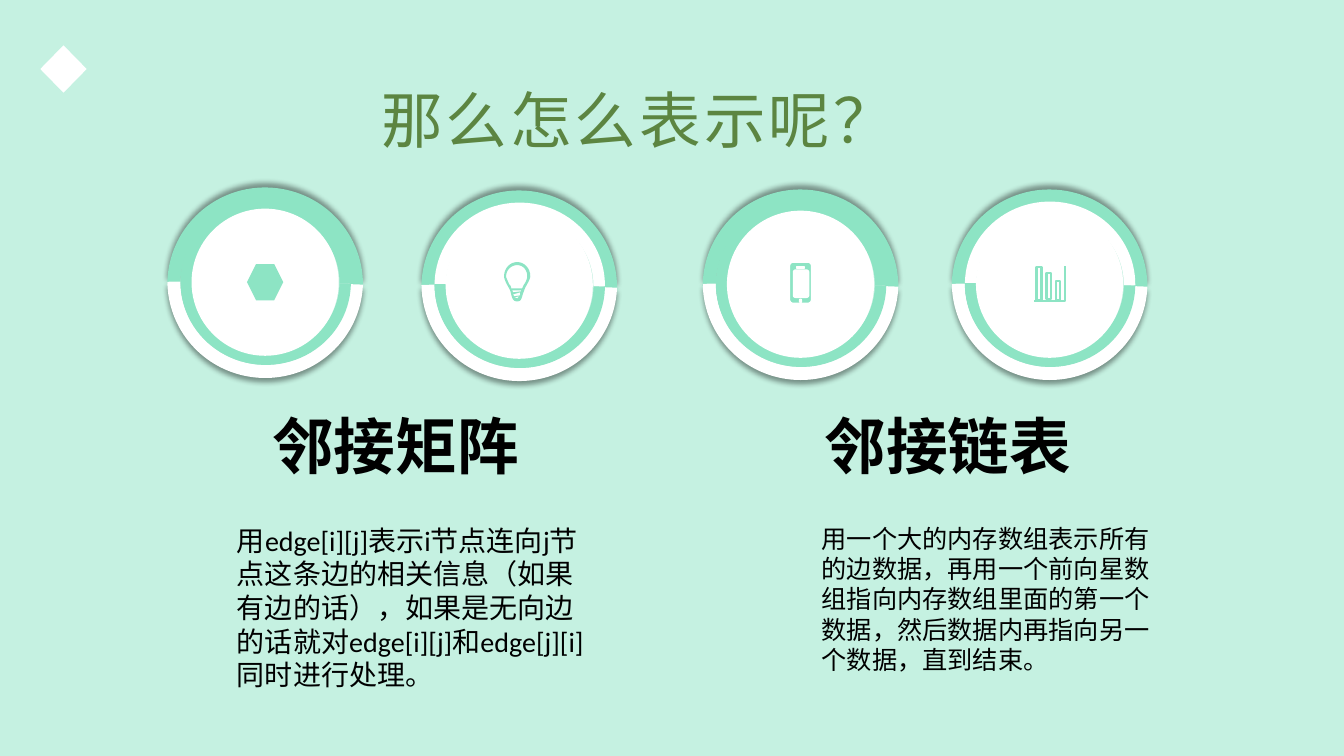
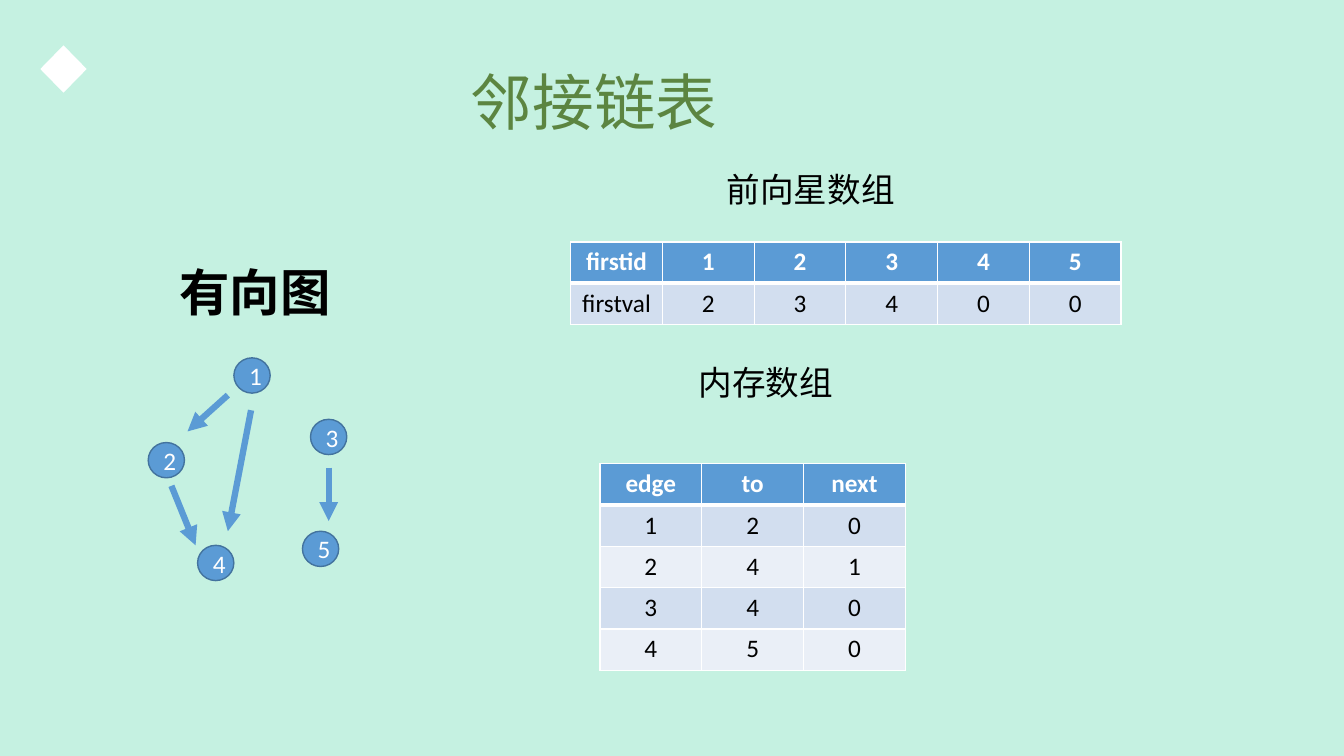
import dataclasses
import math

import lxml.etree
import pptx
import pptx.dml.color
import pptx.enum.shapes
import pptx.enum.text
import pptx.oxml.ns
import pptx.util

Inches = pptx.util.Inches
Pt = pptx.util.Pt
Shape = pptx.enum.shapes.MSO_SHAPE
Align = pptx.enum.text.PP_ALIGN
Anchor = pptx.enum.text.MSO_ANCHOR
qn = pptx.oxml.ns.qn


def rgb(value):
    return pptx.dml.color.RGBColor.from_string(value)


@dataclasses.dataclass(frozen=True)
class Theme:
    background: str = "C5F1E1"
    mint: str = "8DE4C4"
    white: str = "FFFFFF"
    title: str = "5C8541"
    text: str = "000000"
    blue: str = "5B9BD5"
    blue_edge: str = "43739E"
    bands: tuple = ("D2DEEF", "EAEFF7")
    latin: str = "Calibri"
    chinese: str = "Noto Sans CJK SC"
    title_size: int = 44
    graph_size: int = 36
    caption_size: int = 24
    lead_size: int = 20
    small_size: int = 18


def add_child(parent, tag, **attributes):
    return lxml.etree.SubElement(parent, qn(tag), attributes)


def bezier(start, first, second, end, steps=8):
    """Points on a cubic curve, without its start."""
    points = []
    for step in range(1, steps + 1):
        t = step / steps
        weights = ((1 - t) ** 3, 3 * t * (1 - t) ** 2, 3 * t * t * (1 - t), t ** 3)
        points.append(tuple(
            sum(w * p[axis] for w, p in zip(weights, (start, first, second, end)))
            for axis in (0, 1)))
    return points


def curved(start, *curves):
    """Flatten a chain of cubic curves into one outline."""
    points = [start]
    for curve in curves:
        points += bezier(points[-1], *curve)
    return points


def rounded(left, top, width, height, radius):
    """Outline of a rectangle with round corners."""
    right, bottom = left + width - radius, top + height - radius
    centres = ((right, bottom), (left + radius, bottom),
               (left + radius, top + radius), (right, top + radius))
    return [(x + radius * math.cos(math.radians(quarter * 90 + angle)),
             y + radius * math.sin(math.radians(quarter * 90 + angle)))
            for quarter, (x, y) in enumerate(centres)
            for angle in range(0, 91, 15)]


class Deck:
    """Holds the theme, the presentation and the slide being built."""

    def __init__(self, theme):
        self.theme = theme
        self.prs = pptx.Presentation()
        self.prs.slide_width, self.prs.slide_height = Inches(13.33), Inches(7.5)
        fill = self.prs.slide_master.background.fill
        fill.solid()
        fill.fore_color.rgb = rgb(theme.background)
        self.slide = None

    def new_slide(self, layout, title, left, top):
        self.slide = self.prs.slides.add_slide(self.prs.slide_layouts[layout])
        self.shape(Shape.DIAMOND, (0.4, 0.45, 0.46, 0.47), self.theme.white)
        self.placeholder(0, (left, top, 4.69, 0.84), title, self.theme.title_size,
                         color=self.theme.title, font=self.theme.chinese,
                         align=Align.JUSTIFY)

    def set_text(self, frame, text, size, color=None, font=None, bold=False,
                 align=Align.LEFT, before=0):
        frame.text = text
        paragraph = frame.paragraphs[0]
        paragraph.alignment = align
        paragraph.space_before = Pt(before)
        paragraph.font.size = Pt(size)
        paragraph.font.bold = bold
        paragraph.font.color.rgb = rgb(color or self.theme.text)
        paragraph.font.name = font or self.theme.latin
        properties = paragraph._p.pPr
        add_child(properties.find(qn("a:defRPr")), "a:ea", typeface=self.theme.chinese)
        return properties

    def placeholder(self, index, box, text, size, inset=True, **style):
        """Move a template placeholder and set its text without a bullet."""
        holder = next(p for p in self.slide.placeholders
                      if p.placeholder_format.idx == index)
        holder.left, holder.top, holder.width, holder.height = map(Inches, box)
        frame = holder.text_frame
        frame.word_wrap = True
        frame.auto_size = pptx.enum.text.MSO_AUTO_SIZE.NONE
        frame.vertical_anchor = Anchor.TOP
        if not inset:
            frame.margin_left = frame.margin_right = 0
            frame.margin_top = frame.margin_bottom = 0
        properties = self.set_text(frame, text, size, **style)
        properties.set("marL", "0")
        properties.set("indent", "0")
        properties.find(qn("a:defRPr")).addprevious(
            lxml.etree.Element(qn("a:buNone")))

    def label(self, box, text, size, **style):
        frame = self.slide.shapes.add_textbox(*map(Inches, box)).text_frame
        frame.word_wrap = True
        self.set_text(frame, text, size, **style)

    def paint(self, shape, fill=None, line=None, width=1):
        if fill:
            shape.fill.solid()
            shape.fill.fore_color.rgb = rgb(fill)
        else:
            shape.fill.background()
        if line:
            shape.line.color.rgb = rgb(line)
            shape.line.width = Pt(width)
        else:
            shape.line.fill.background()
        shape.shadow.inherit = False
        return shape

    def shape(self, kind, box, fill=None, line=None, width=1):
        shape = self.slide.shapes.add_shape(kind, *map(Inches, box))
        return self.paint(shape, fill, line, width)

    def outline(self, contours, fill=None, line=None, width=1, close=True):
        first, *others = [[(Inches(x), Inches(y)) for x, y in contour]
                          for contour in contours]
        builder = self.slide.shapes.build_freeform(*first[0])
        builder.add_line_segments(first[1:], close=close)
        for contour in others:
            builder.move_to(*contour[0])
            builder.add_line_segments(contour[1:], close=close)
        return self.paint(builder.convert_to_shape(), fill, line, width)

    def arc(self, box, fill, rotation, adjustments, shadow_angle=None):
        arc = self.shape(Shape.BLOCK_ARC, box, fill)
        arc.rotation = rotation
        for index, value in enumerate(adjustments):
            arc.adjustments[index] = value
        if shadow_angle:
            effects = arc._element.spPr.find(qn("a:effectLst"))
            shadow = add_child(effects, "a:outerShdw", blurRad=str(Pt(4)),
                               dist=str(Pt(3)), dir=str(shadow_angle * 60000),
                               algn="ctr", rotWithShape="0")
            black = add_child(shadow, "a:srgbClr", val="000000")
            add_child(black, "a:alpha", val="40000")

    def badge(self, left, top, upper_inner):
        """Two-tone ring around a white disc."""
        mint, white = self.theme.mint, self.theme.white
        inner = (left + 0.13, top + 0.15, 1.69, 1.64)
        inner_span = (107.319, 215.283, 0.069)
        self.arc((left, top + 0.03, 1.94, 1.92), mint, 2,
                 (106.906, 215.515, 0.067), 270)
        self.arc(inner, upper_inner, 2, inner_span)
        self.arc((left, top, 1.94, 1.92), white, 182, (108, 214.61, 0.067), 90)
        self.arc(inner, mint, 182, inner_span)
        self.shape(Shape.OVAL, (left + 0.24, top + 0.24, 1.46, 1.46), white)

    def node(self, left, top, text):
        node = self.shape(Shape.OVAL, (left, top, 0.36, 0.35),
                          self.theme.blue, self.theme.blue_edge)
        node.text_frame.vertical_anchor = Anchor.MIDDLE
        self.set_text(node.text_frame, text, self.theme.small_size,
                      color=self.theme.white, align=Align.CENTER)

    def arrow(self, start, end):
        arrow = self.slide.shapes.add_connector(
            pptx.enum.shapes.MSO_CONNECTOR.STRAIGHT, *map(Inches, start + end))
        arrow.line.color.rgb = rgb(self.theme.blue)
        arrow.line.width = Pt(4.5)
        add_child(arrow.line._get_or_add_ln(), "a:tailEnd", type="triangle")
        add_child(arrow._element.spPr, "a:effectLst")

    def borders(self, cell, top, bottom):
        properties = cell._tc.get_or_add_tcPr()
        sides = (("L", 1), ("R", 1), ("T", top), ("B", bottom))
        for position, (side, width) in enumerate(sides):
            line = lxml.etree.Element(qn("a:ln" + side), w=str(Pt(width)))
            add_child(add_child(line, "a:solidFill"), "a:srgbClr",
                      val=self.theme.white)
            properties.insert(position, line)

    def table(self, left, top, column_width, rows, row_height=0.41):
        count = len(rows[0])
        table = self.slide.shapes.add_table(
            len(rows), count, Inches(left), Inches(top),
            Inches(column_width * count), Inches(row_height * len(rows))).table
        for column in table.columns:
            column.width = Inches(column_width)
        for r, values in enumerate(rows):
            header = r == 0
            table.rows[r].height = Inches(row_height)
            for c, value in enumerate(values):
                cell = table.cell(r, c)
                cell.fill.solid()
                cell.fill.fore_color.rgb = rgb(
                    self.theme.blue if header else self.theme.bands[(r - 1) % 2])
                self.borders(cell, 3 if r == 1 else 1, 3 if header else 1)
                self.set_text(cell.text_frame, value, self.theme.small_size,
                              color=self.theme.white if header else self.theme.text,
                              bold=header, align=Align.CENTER)


def add_icons(deck):
    mint, white = deck.theme.mint, deck.theme.white
    deck.shape(Shape.HEXAGON, (2.45, 2.62, 0.36, 0.36), mint)

    bulb = curved((5.13, 2.6),
                  ((5.06, 2.6), (5, 2.66), (5, 2.74)),
                  ((5, 2.78), (5.04, 2.84), (5.06, 2.88)),
                  ((5.08, 2.95), (5.08, 2.99), (5.13, 2.99)),
                  ((5.18, 2.99), (5.17, 2.95), (5.2, 2.88)),
                  ((5.21, 2.84), (5.26, 2.78), (5.26, 2.74)),
                  ((5.26, 2.66), (5.2, 2.6), (5.13, 2.6)))
    glass = curved((5.07, 2.86),
                   ((5.07, 2.84), (5.06, 2.83), (5.05, 2.82)),
                   ((5.04, 2.79), (5.02, 2.76), (5.02, 2.74)),
                   ((5.02, 2.68), (5.07, 2.63), (5.13, 2.63)),
                   ((5.19, 2.63), (5.23, 2.68), (5.23, 2.74)),
                   ((5.23, 2.76), (5.22, 2.79), (5.2, 2.82)),
                   ((5.19, 2.83), (5.19, 2.84), (5.18, 2.86)))
    socket_gaps = [[(5.08, 2.88), (5.17, 2.88), (5.17, 2.89), (5.09, 2.9)],
                   [(5.09, 2.92), (5.16, 2.9), (5.16, 2.93), (5.1, 2.94)],
                   [(5.1, 2.95), (5.15, 2.94), (5.13, 2.96)]]
    deck.outline([bulb, glass, *socket_gaps], mint)

    case = rounded(7.83, 2.6, 0.22, 0.41, 0.04)
    screen = rounded(7.87, 2.68, 0.15, 0.27, 0.02)
    button = rounded(7.93, 2.97, 0.02, 0.03, 0.01)
    speaker = [(7.9, 2.65), (7.9, 2.66), (7.98, 2.66), (7.98, 2.65)]
    deck.outline([case, screen, button, speaker], mint, white)

    deck.outline([[(10.26, 2.99), (10.56, 2.99), (10.56, 2.64)]],
                 line=mint, width=1.5, close=False)
    for bar in ((10.28, 2.65, 0.05, 0.33), (10.38, 2.71, 0.04, 0.26),
                (10.47, 2.79, 0.04, 0.19)):
        deck.shape(Shape.FLOWCHART_PROCESS, bar, line=mint, width=1.5)


def build_representations(deck):
    theme = deck.theme
    deck.new_slide(4, "那么怎么表示呢？", 3.68, 0.76)
    for left, top, upper_inner in ((1.66, 1.83, theme.mint), (6.97, 1.85, theme.mint),
                                   (4.18, 1.86, theme.white), (9.44, 1.85, theme.white)):
        deck.badge(left, top, upper_inner)
    add_icons(deck)
    for index, left, heading in ((1, 2.7, "邻接矩阵"), (3, 8.18, "邻接链表")):
        deck.placeholder(index, (left, 4.05, 3.1, 0.94), heading, theme.title_size,
                         inset=False, font=theme.chinese, bold=True,
                         align=Align.JUSTIFY, before=7.5)
    deck.placeholder(
        2, (2.25, 5.14, 3.77, 1.78),
        "用edge[i][j]表示i节点连向j节点这条边的相关信息（如果有边的话），"
        "如果是无向边的话就对edge[i][j]和edge[j][i]同时进行处理。", theme.lead_size)
    deck.placeholder(
        4, (8.05, 5.14, 3.64, 1.62),
        "用一个大的内存数组表示所有的边数据，再用一个前向星数组指向内存数组里面的"
        "第一个数据，然后数据内再指向另一个数据，直到结束。", theme.small_size)


def build_linked_list(deck):
    theme = deck.theme
    deck.new_slide(5, "邻接链表", 4.57, 0.58)
    nodes = ((2.32, 3.55), (1.47, 4.39), (3.08, 4.16), (1.96, 5.41), (3, 5.27))
    for number, (left, top) in enumerate(nodes, 1):
        deck.node(left, top, str(number))
    for start, end in (((2.26, 3.92), (1.86, 4.28)), ((3.26, 4.64), (3.26, 5.17)),
                       ((2.49, 4.07), (2.26, 5.27)), ((1.7, 4.82), (1.94, 5.41))):
        deck.arrow(start, end)
    deck.label((1.68, 2.54, 3.26, 0.71), "有向图", theme.graph_size, bold=True)
    deck.label((7.11, 1.63, 5.34, 0.5), "前向星数组", theme.caption_size)
    deck.table(5.66, 2.4, 0.91, [["firstid", "1", "2", "3", "4", "5"],
                                 ["firstval", "2", "3", "4", "0", "0"]])
    deck.label((6.83, 3.54, 5.34, 0.5), "内存数组", theme.caption_size)
    deck.table(5.95, 4.6, 1.01, [["edge", "to", "next"], ["1", "2", "0"],
                                 ["2", "4", "1"], ["3", "4", "0"], ["4", "5", "0"]])


def main():
    deck = Deck(Theme())
    build_representations(deck)
    build_linked_list(deck)
    deck.prs.save("out.pptx")


if __name__ == "__main__":
    main()
